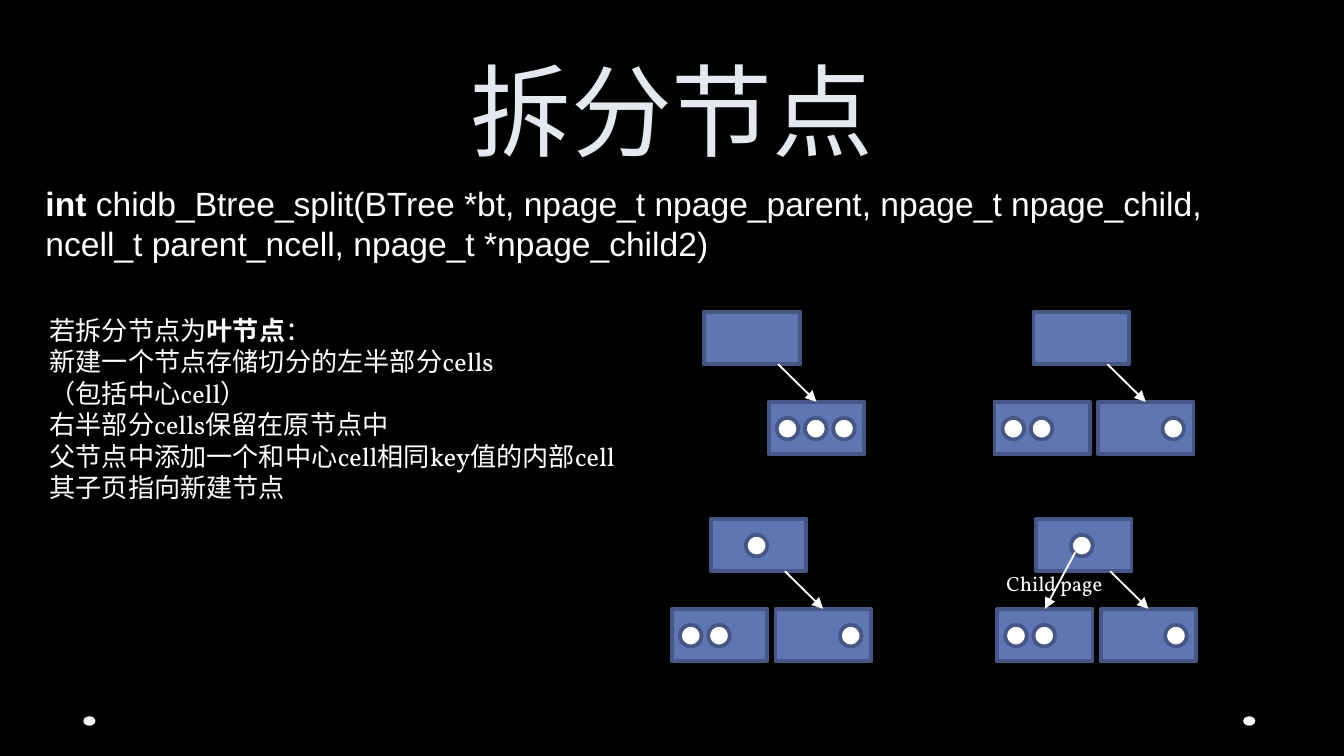
"""Build a slide that explains splitting a B-tree leaf node in four stages."""
from dataclasses import dataclass

from lxml import etree
from pptx import Presentation
from pptx.dml.color import RGBColor
from pptx.enum.shapes import MSO_CONNECTOR, MSO_SHAPE
from pptx.enum.text import MSO_ANCHOR, MSO_AUTO_SIZE, PP_ALIGN
from pptx.oxml.ns import qn
from pptx.util import Inches, Pt

RECTANGLE, OVAL = MSO_SHAPE.RECTANGLE, MSO_SHAPE.OVAL
STRAIGHT = MSO_CONNECTOR.STRAIGHT
BOTTOM, TOP = MSO_ANCHOR.BOTTOM, MSO_ANCHOR.TOP
GROW, FIXED = MSO_AUTO_SIZE.SHAPE_TO_FIT_TEXT, MSO_AUTO_SIZE.NONE
CENTER, LEFT = PP_ALIGN.CENTER, PP_ALIGN.LEFT


@dataclass(frozen=True)
class Theme:
    background: RGBColor = RGBColor.from_string("000000")
    title: RGBColor = RGBColor.from_string("E4E9EF")
    light: RGBColor = RGBColor.from_string("FFFFFF")
    node: RGBColor = RGBColor.from_string("6076B4")
    outline: RGBColor = RGBColor.from_string("475785")
    title_size: Pt = Pt(54)
    title_spacing: Pt = Pt(58)
    code_size: Pt = Pt(18)
    body_size: Pt = Pt(14)
    label_size: Pt = Pt(11)
    code_font: str = "Arial"
    body_font: str = "Vollkorn"


theme = Theme()
presentation = Presentation()
presentation.slide_width = Inches(10)
presentation.slide_height = Inches(10 * 9 / 16)
slide = presentation.slides.add_slide(presentation.slide_layouts[6])
slide.background.fill.solid()
slide.background.fill.fore_color.rgb = theme.background


def add_block(kind, left, top, width, height, fill):
    block = slide.shapes.add_shape(
        kind, Inches(left), Inches(top), Inches(width), Inches(height)
    )
    block.shadow.inherit = False
    block.fill.solid()
    block.fill.fore_color.rgb = fill
    block.line.color.rgb = theme.outline
    block.line.width = Pt(2)
    return block


def add_pointer(start_x, start_y, target):
    pointer = slide.shapes.add_connector(
        STRAIGHT, Inches(start_x), Inches(start_y), target.left, target.top
    )
    pointer.end_connect(target, 0)
    pointer.line.color.rgb = theme.light
    pointer.line.width = Pt(1)
    outline = pointer._element.spPr.find(qn("a:ln"))
    etree.SubElement(outline, qn("a:tailEnd"), type="triangle")
    etree.SubElement(pointer._element.spPr, qn("a:effectLst"))


for dot_left in (9.25, 0.62):
    dot = add_block(OVAL, dot_left, 5.33, 0.09, 0.07, theme.light)
    dot.line.fill.background()

NODE_WIDTH, NODE_HEIGHT, CELL = 0.71, 0.39, 0.16
CELL_INSET, CELL_STEP, CELL_DROP = 0.06, 0.21, 0.12
CHILD_DROP = 0.67

stages = [
    (5.24, 2.32, False, None, (0, 1, 2), False),
    (7.69, 2.32, False, (0, 1), (2,), False),
    (5.29, 3.86, True, (0, 1), (2,), False),
    (7.71, 3.86, True, (0, 1), (2,), True),
]
for left, top, parent_cell, new_cells, old_cells, linked in stages:
    nodes = [
        (left + 0.48, top + CHILD_DROP, old_cells),
        (left, top, (0.95,) if parent_cell else ()),
    ]
    if new_cells:
        nodes.append((left - 0.29, top + CHILD_DROP, new_cells))
    boxes = []
    for node_left, node_top, cells in nodes:
        boxes.append(
            add_block(RECTANGLE, node_left, node_top, NODE_WIDTH, NODE_HEIGHT, theme.node)
        )
        for slot in cells:
            cell_left = node_left + CELL_INSET + slot * CELL_STEP
            add_block(OVAL, cell_left, node_top + CELL_DROP, CELL, CELL, theme.light)
    add_pointer(left + 0.55, top + NODE_HEIGHT, boxes[0])
    if linked:
        add_pointer(left + 0.29, top + 0.25, boxes[-1])

signature = (
    "chidb_Btree_split(BTree *bt, npage_t npage_parent, npage_t npage_child, "
    "ncell_t parent_ncell, npage_t *npage_child2)"
)
explanation = [
    [("若拆分节点为", False), ("叶节点", True), ("：", False)],
    [("新建一个节点存储切分的左半部分cells", False)],
    [("（包括中心cell）", False)],
    [("右半部分cells保留在原节点中", False)],
    [("父节点中添加一个和中心cell相同key值的内部cell", False)],
    [("其子页指向新建节点", False)],
]
texts = [
    ((0.5, 0, 9, 1.31), [[("拆分节点", False)]], theme.body_font, theme.title_size,
     theme.title, CENTER, BOTTOM, FIXED, theme.title_spacing),
    ((0.24, 1.31, 9.53, 1.01), [[("int ", True), (signature, False)]], theme.code_font,
     theme.code_size, theme.light, LEFT, TOP, GROW, None),
    ((0.27, 2.29, 4.49, 1.51), explanation, theme.body_font,
     theme.body_size, theme.light, LEFT, TOP, GROW, None),
    ((7.39, 4.2, 1.74, 0.29), [[("Child page", False)]], theme.body_font,
     theme.label_size, theme.light, LEFT, TOP, GROW, None),
]
for bounds, lines, font, size, color, align, anchor, fit, spacing in texts:
    frame = slide.shapes.add_textbox(*map(Inches, bounds)).text_frame
    frame.word_wrap = True
    frame.auto_size = fit
    frame.vertical_anchor = anchor
    for index, pieces in enumerate(lines):
        paragraph = frame.add_paragraph() if index else frame.paragraphs[0]
        paragraph.alignment = align
        paragraph.line_spacing = spacing
        paragraph.font.name = font
        paragraph.font.size = size
        paragraph.font.color.rgb = color
        for wording, bold in pieces:
            run = paragraph.add_run()
            run.text = wording
            if bold:
                run.font.bold = True

presentation.save("out.pptx")
